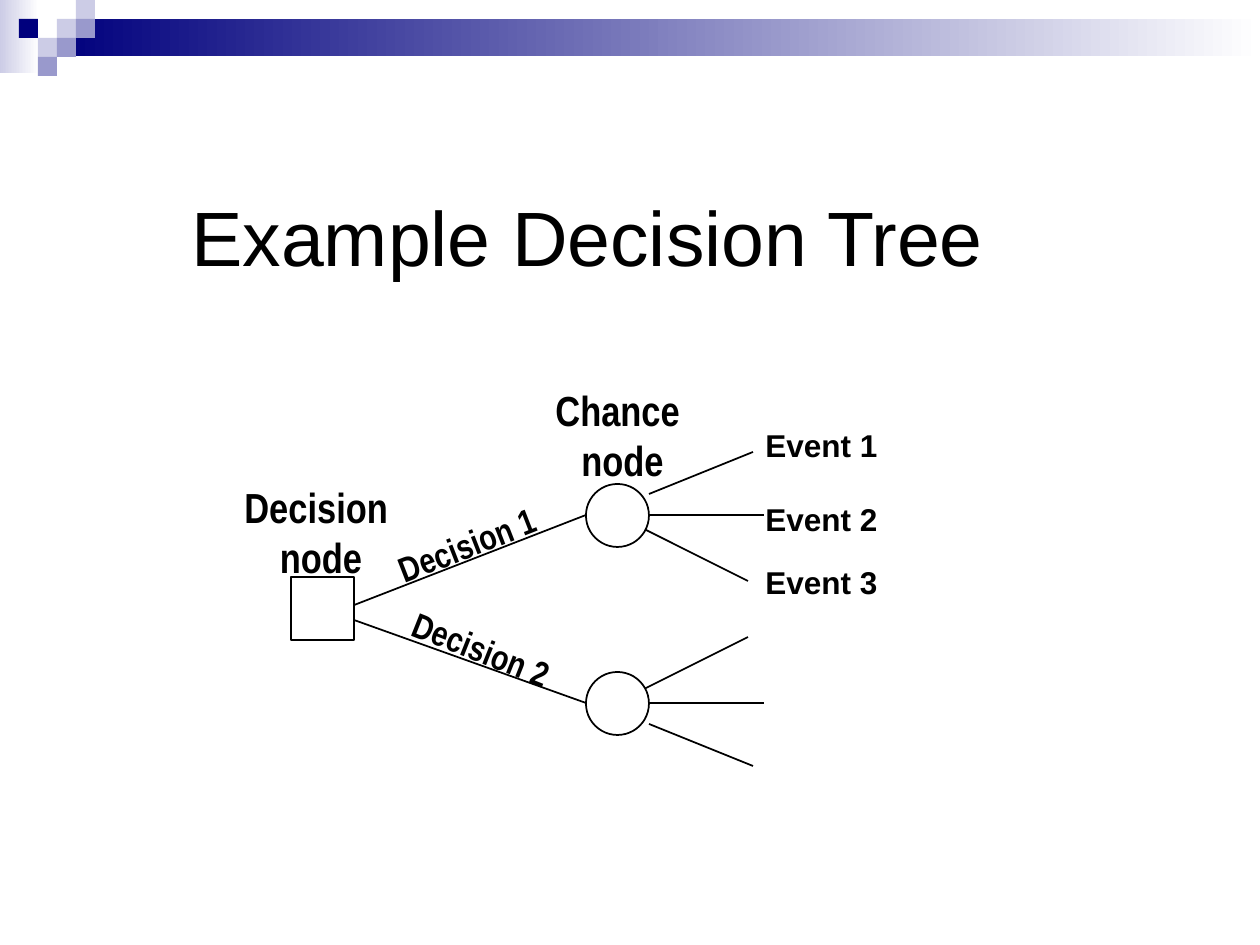
from dataclasses import dataclass

from lxml import etree
from pptx import Presentation
from pptx import util as u
from pptx.dml.color import RGBColor
from pptx.enum import shapes, text
from pptx.oxml.ns import qn

PX_PER_INCH = 126
BLACK, WHITE, NAVY = "000000", "FFFFFF", "00007D"
LILAC, MID_BLUE = "CCCCE6", "9999CC"
TILE = 19
NODE_SIZE = 63
CHANCE_LEFT = 586
CHANCE_CENTERS = {515: 1, 703: -1}  # centre y: direction of the event fan


@dataclass
class Box:
    left: int
    top: int
    width: int
    height: int


@dataclass
class Tile:
    column: int
    row: int
    color: str


@dataclass
class Label:
    lines: list[str]
    box: Box
    size: int
    font: str = "Arial"
    bold: bool = True
    centered: bool = True
    wrap: bool = False
    middle: bool = False
    rotation: float = 0
    space_before: float = 0


@dataclass
class Branch:
    x1: int
    y1: int
    x2: int
    y2: int


TILES = [
    Tile(3, 1, LILAC), Tile(4, 0, LILAC), Tile(4, 1, MID_BLUE),
    Tile(2, 2, LILAC), Tile(1, 1, NAVY), Tile(3, 2, MID_BLUE),
    Tile(2, 3, MID_BLUE),
]
DECISION_BRANCHES = [Branch(344, 609, 586, 515), Branch(354, 620, 586, 703)]
# y is measured from the centre of the chance node
EVENT_BRANCHES = [
    Branch(649, -21, 753, -63), Branch(649, 0, 764, 0), Branch(644, 14, 748, 66),
]
NARROW = "Arial Narrow"
TITLE = Label(["Example Decision Tree"], Box(179, 168, 892, 136), 44,
              bold=False, centered=False, wrap=True, middle=True)
LABELS = [
    Label(["Decision ", "node"], Box(232, 475, 178, 113), 24, NARROW),
    Label(["Chance ", "node"], Box(543, 378, 159, 113), 24, NARROW),
    Label(["Decision 1"], Box(382, 517, 169, 55), 20, NARROW, rotation=338.7),
    Label(["Decision 2"], Box(389, 620, 169, 97), 20, NARROW, rotation=21.7),
] + [
    Label([f"Event {number}"], Box(753, top, 147, 50), 18,
          centered=False, wrap=True, space_before=11.2)
    for number, top in enumerate((420, 494, 557), start=1)
]


def px(length: int) -> u.Emu:
    return u.Emu(round(length * 914400 / PX_PER_INCH))


def rgb(color: str) -> RGBColor:
    return RGBColor.from_string(color)


def place(box: Box) -> tuple[u.Emu, ...]:
    return px(box.left), px(box.top), px(box.width), px(box.height)


def add_block(slide, kind, box: Box, color: str, fade_to: str = "", outlined: bool = False):
    """Add a filled shape, fading left to right when fade_to is given."""
    shape = slide.shapes.add_shape(kind, *place(box))
    shape.shadow.inherit = False
    if fade_to:
        shape.fill.gradient()
        shape.fill.gradient_angle = 0
        for stop, stop_color in zip(shape.fill.gradient_stops, (color, fade_to)):
            stop.color.rgb = rgb(stop_color)
    else:
        shape.fill.solid()
        shape.fill.fore_color.rgb = rgb(color)
    if outlined:
        shape.line.color.rgb = rgb(BLACK)
        shape.line.width = u.Pt(1)
    else:
        shape.line.fill.background()


def add_branch(slide, branch: Branch) -> None:
    connector = slide.shapes.add_connector(
        shapes.MSO_CONNECTOR.STRAIGHT,
        px(branch.x1), px(branch.y1), px(branch.x2), px(branch.y2))
    connector.line.color.rgb = rgb(BLACK)
    connector.line.width = u.Pt(1)
    etree.SubElement(connector._element.spPr, qn("a:effectLst"))


def add_label(slide, label: Label) -> None:
    shape = slide.shapes.add_textbox(*place(label.box))
    shape.rotation = label.rotation
    frame = shape.text_frame
    frame.word_wrap = label.wrap
    frame.vertical_anchor = text.MSO_ANCHOR.MIDDLE if label.middle else text.MSO_ANCHOR.TOP
    for index, line in enumerate(label.lines):
        paragraph = frame.add_paragraph() if index else frame.paragraphs[0]
        paragraph.alignment = text.PP_ALIGN.CENTER if label.centered else text.PP_ALIGN.LEFT
        paragraph.space_before = u.Pt(label.space_before)
        run = paragraph.add_run()
        run.text = line
        run.font.name = label.font
        run.font.size = u.Pt(label.size)
        run.font.bold = label.bold
        run.font.color.rgb = rgb(BLACK)


def add_banner(slide) -> None:
    rectangle = shapes.MSO_SHAPE.RECTANGLE
    add_block(slide, rectangle, Box(0, 0, 39, 73), LILAC, WHITE)
    add_block(slide, rectangle, Box(57, TILE, 1203, 37), NAVY, WHITE)
    for tile in TILES:
        box = Box(tile.column * TILE, tile.row * TILE, TILE, TILE)
        add_block(slide, rectangle, box, tile.color)


def add_tree(slide) -> None:
    for branch in DECISION_BRANCHES:
        add_branch(slide, branch)
    for center, direction in CHANCE_CENTERS.items():
        for branch in EVENT_BRANCHES:
            add_branch(slide, Branch(branch.x1, center + direction * branch.y1,
                                     branch.x2, center + direction * branch.y2))
    add_block(slide, shapes.MSO_SHAPE.RECTANGLE,
              Box(291, 577, NODE_SIZE, NODE_SIZE), WHITE, outlined=True)
    for center in CHANCE_CENTERS:
        box = Box(CHANCE_LEFT, center - NODE_SIZE // 2, NODE_SIZE, NODE_SIZE)
        add_block(slide, shapes.MSO_SHAPE.OVAL, box, WHITE, outlined=True)
    for label in LABELS:
        add_label(slide, label)


def main() -> None:
    presentation = Presentation()
    presentation.slide_width, presentation.slide_height = px(1260), px(945)
    slide = presentation.slides.add_slide(presentation.slide_layouts[6])
    add_banner(slide)
    add_label(slide, TITLE)
    add_tree(slide)
    presentation.save("out.pptx")


if __name__ == "__main__":
    main()
